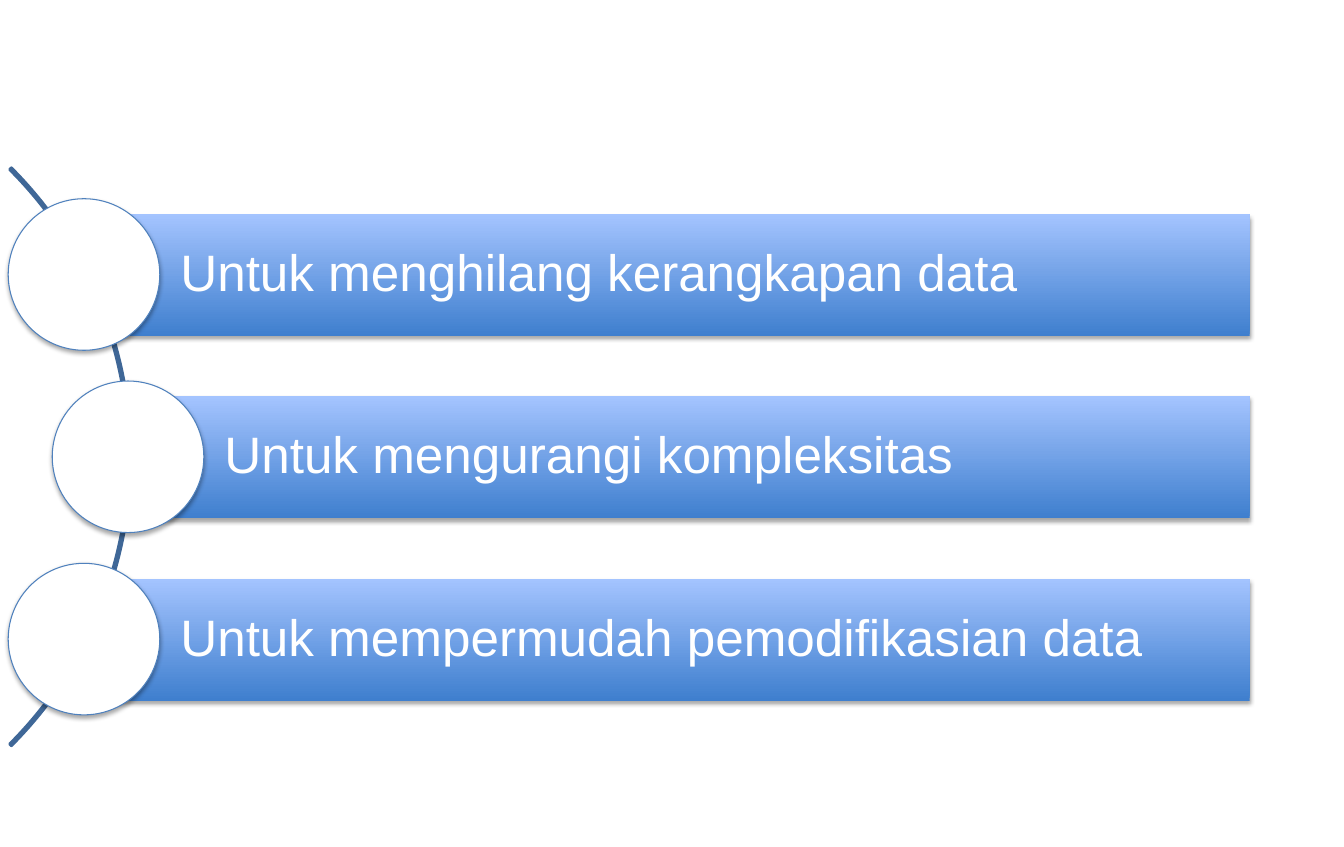
import pptx
import pptx.dml.color
import pptx.enum.shapes
import pptx.enum.text
import pptx.oxml.ns
import pptx.util
from lxml import etree

RGBColor = pptx.dml.color.RGBColor
SHAPE = pptx.enum.shapes.MSO_SHAPE
qn = pptx.oxml.ns.qn

PX = 9144  # EMU per px, 100 px to the inch
SLIDE_WIDTH, SLIDE_HEIGHT = 1312, 827

WHITE = RGBColor(0xFF, 0xFF, 0xFF)
BAR_BOTTOM = RGBColor(0x3F, 0x7F, 0xCE)
BAR_TOP = RGBColor(0xA4, 0xC4, 0xFF)
CIRCLE_LINE = RGBColor(0x4F, 0x81, 0xBD)
ARC_LINE = RGBColor(0x3F, 0x67, 0x97)

# Each goal with the x of its circle's centre, where its bar begins
GOALS = [
    ("Untuk menghilang kerangkapan data", 82),
    ("Untuk mengurangi kompleksitas", 125),
    ("Untuk mempermudah pemodifikasian data", 82),
]
FIRST_CENTRE_Y, ROW_STEP = 268, 178
BAR_RIGHT, BAR_HEIGHT = 1220, 119
CIRCLE_SIZE = 148


def add_plain_shape(slide, kind, left, top, width, height):
    box = [length * PX for length in (left, top, width, height)]
    shape = slide.shapes.add_shape(kind, *box)
    shape.shadow.inherit = False
    return shape


def add_soft_shadow(shape):
    effects = shape._element.spPr.find(qn("a:effectLst"))
    shadow = etree.SubElement(
        effects, qn("a:outerShdw"),
        blurRad="40000", dist="23000", dir="5400000", rotWithShape="0")
    color = etree.SubElement(shadow, qn("a:srgbClr"), val="000000")
    etree.SubElement(color, qn("a:alpha"), val="35000")


def add_arc(slide):
    arc = add_plain_shape(slide, SHAPE.BLOCK_ARC, -670, 47, 798, 798)
    for index, value in enumerate((189, 27, 0.003)):
        arc.adjustments[index] = value
    arc.fill.background()
    arc.line.color.rgb = ARC_LINE
    arc.line.width = pptx.util.Pt(2)


def add_bar(slide, text, left, centre_y):
    bar = add_plain_shape(slide, SHAPE.RECTANGLE, left,
                          centre_y - BAR_HEIGHT // 2,
                          BAR_RIGHT - left, BAR_HEIGHT)
    bar.fill.gradient()
    bar.fill.gradient_angle = 90
    stops = bar.fill.gradient_stops
    for stop, position, color in zip(stops, (0, 1), (BAR_BOTTOM, BAR_TOP)):
        stop.position = position
        stop.color.rgb = color
    bar.line.fill.background()
    add_soft_shadow(bar)

    frame = bar.text_frame
    frame.word_wrap = True
    frame.vertical_anchor = pptx.enum.text.MSO_ANCHOR.MIDDLE
    frame.margin_left = 94 * PX
    frame.margin_top = frame.margin_right = frame.margin_bottom = 10 * PX
    paragraph = frame.paragraphs[0]
    paragraph.alignment = pptx.enum.text.PP_ALIGN.LEFT
    paragraph.line_spacing = 0.9
    run = paragraph.add_run()
    run.text = text
    run.font.name = "Arial"
    run.font.size = pptx.util.Pt(36)
    run.font.color.rgb = WHITE


def add_circle(slide, centre_x, centre_y):
    circle = add_plain_shape(slide, SHAPE.OVAL,
                             centre_x - CIRCLE_SIZE // 2,
                             centre_y - CIRCLE_SIZE // 2,
                             CIRCLE_SIZE, CIRCLE_SIZE)
    circle.fill.solid()
    circle.fill.fore_color.rgb = WHITE
    circle.line.color.rgb = CIRCLE_LINE
    circle.line.width = pptx.util.Pt(0.75)
    add_soft_shadow(circle)


def main():
    presentation = pptx.Presentation()
    presentation.slide_width = SLIDE_WIDTH * PX
    presentation.slide_height = SLIDE_HEIGHT * PX
    slide = presentation.slides.add_slide(presentation.slide_layouts[6])

    # Curve behind the list
    add_arc(slide)

    # Goals, each a bar with a circle at its start
    for row, (text, centre_x) in enumerate(GOALS):
        centre_y = FIRST_CENTRE_Y + row * ROW_STEP
        add_bar(slide, text, centre_x, centre_y)
        add_circle(slide, centre_x, centre_y)

    presentation.save("out.pptx")


if __name__ == "__main__":
    main()
